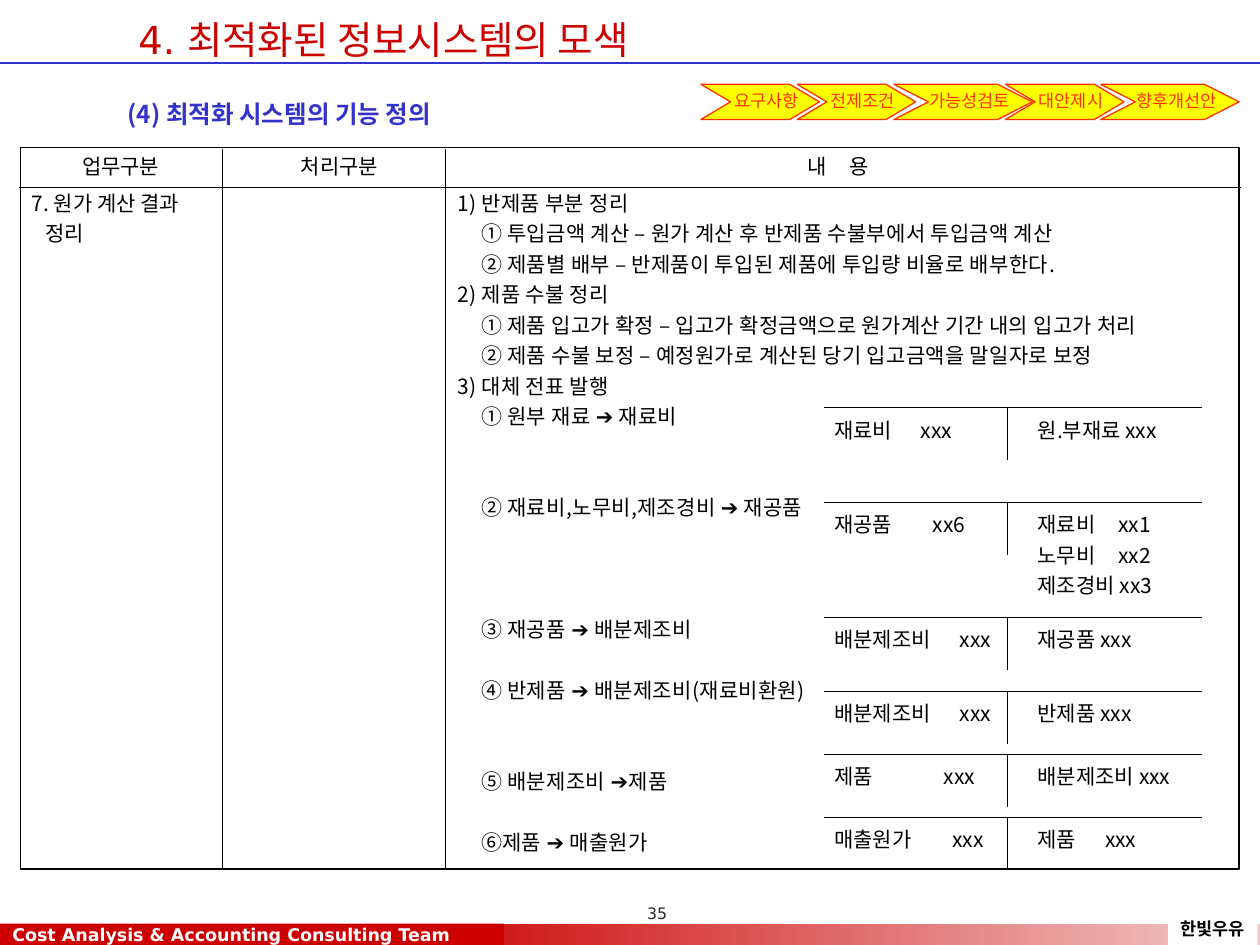
from lxml import etree
from pptx import Presentation
from pptx import util as u
from pptx.dml.color import RGBColor
from pptx.enum import shapes, text
from pptx.oxml.ns import qn

COLORS = {"black": "000000", "white": "FFFFFF", "red": "CC0000", "pink": "F3CBCB",
          "blue": "3333CC", "yellow": "FFFF00", "orange": "FF3300", "gray": "292929"}
KOREAN, LATIN, SYMBOL = "Noto Sans CJK KR", "DejaVu Sans", "Arial"
LINE_HEIGHT, LINE_GAP = 17.4, 3
SPACE_WIDTH = 343  # hundredths of a point
CENTER = text.PP_ALIGN.CENTER


def rgb(name):
    return RGBColor.from_string(COLORS[name])


def write(frame, content, size=12, color="black", font=KOREAN, bold=False,
          align=None, indent=0, skipped_lines=0, gap=1, tracking=0):
    """Add a paragraph; "|" is a space as wide as gap spaces, arrows get the symbol font."""
    first = not frame.text
    paragraph = frame.paragraphs[0] if first else frame.add_paragraph()
    properties = paragraph._p.get_or_add_pPr()
    properties.set("marL", str(u.Cm(indent)))
    properties.set("indent", "0")
    paragraph.alignment = align or text.PP_ALIGN.LEFT
    paragraph.space_before = u.Pt(0 if first else LINE_GAP + skipped_lines * LINE_HEIGHT)
    for part in filter(None, content.partition("|" if "|" in content else "➔")):
        run = paragraph.add_run()
        run.text = " " if part == "|" else part
        run.font.size, run.font.bold = u.Pt(size), bold
        run.font.color.rgb = rgb(color)
        run.font.name = SYMBOL if part == "➔" else font
        run_properties = run._r.get_or_add_rPr()
        spacing = (gap - 1) * SPACE_WIDTH if part == "|" else tracking
        run_properties.set("spc", str(spacing))
        east_asian = SYMBOL if part == "➔" else KOREAN
        etree.SubElement(run_properties, qn("a:ea"), typeface=east_asian)


presentation = Presentation()
presentation.slide_width, presentation.slide_height = u.Cm(25.4), u.Cm(19.05)
slide = presentation.slides.add_slide(presentation.slide_layouts[6])


def add_box(left, top, width, height):
    """Add a text box without margins and return its text frame."""
    frame = slide.shapes.add_textbox(*map(u.Cm, (left, top, width, height))).text_frame
    frame.word_wrap = True
    frame.margin_left = frame.margin_top = frame.margin_right = frame.margin_bottom = 0
    return frame


# Footer bars, company label and table frame
rectangles = {}
for name, bounds, fill in [
    ("fade", (7.82, 18.62, 17.58, 0.43), None),
    ("team", (0, 18.62, 10.16, 0.43), "red"),
    ("company", (23.55, 18.36, 1.8, 0.69), "white"),
    ("table", (0.42, 2.97, 24.56, 14.55), None),
]:
    shape = slide.shapes.add_shape(shapes.MSO_SHAPE.RECTANGLE, *map(u.Cm, bounds))
    shape.shadow.inherit = False
    shape.line.fill.background()
    shape.fill.background()
    if fill:
        shape.fill.solid()
        shape.fill.fore_color.rgb = rgb(fill)
    rectangles[name] = shape

fade = rectangles["fade"].fill
fade.gradient()
fade.gradient_angle = 0
for stop, color in zip(fade.gradient_stops, ("red", "pink")):
    stop.color.rgb = rgb(color)
rectangles["table"].line.color.rgb = rgb("black")
rectangles["table"].line.width = u.Pt(0.75)

team = rectangles["team"].text_frame
team.margin_top = team.margin_bottom = 0
team.vertical_anchor = text.MSO_ANCHOR.MIDDLE
write(team, "Cost Analysis & Accounting Consulting Team", 10, "white", LATIN, True)
company = rectangles["company"].text_frame
company.word_wrap = False
company.margin_top, company.margin_bottom = u.Cm(0.14), 0
company.vertical_anchor = text.MSO_ANCHOR.TOP
write(company, "한빛우유", 10, bold=True, align=CENTER)

# Headings and page number
title = add_box(2.79, 0.15, 19.4, 1.27)
title.vertical_anchor = text.MSO_ANCHOR.MIDDLE
write(title, "4. 최적화된 정보시스템의 모색", 22, "red", LATIN)
write(add_box(2.57, 2, 11, 0.84), "(4) 최적화 시스템의 기능 정의", 14, "blue", bold=True)
write(add_box(11.47, 18.21, 3.56, 0.4), "35", 9, "gray", LATIN, align=CENTER)

# Process arrows
for left, width, label in [(14.13, 2.39, "요구사항"), (16.07, 2.39, "전제조건"),
                           (18.02, 2.79, "가능성검토"), (20.27, 2.39, "대안제시"),
                           (22.19, 2.79, "향후개선안")]:
    top, height, notch = 1.7, 0.71, width / 4
    outline = [(0, 0), (width - notch, 0), (width, height / 2),
               (width - notch, height), (0, height), (notch, height / 2)]
    points = [(u.Cm(left + x), u.Cm(top + y)) for x, y in outline]
    builder = slide.shapes.build_freeform(*points[0])
    builder.add_line_segments(points[1:], close=True)
    chevron = builder.convert_to_shape()
    chevron.shadow.inherit = False
    chevron.fill.solid()
    chevron.fill.fore_color.rgb = rgb("yellow")
    chevron.line.color.rgb = rgb("orange")
    chevron.line.width = u.Pt(0.75)
    frame = chevron.text_frame
    frame.word_wrap = False
    frame.vertical_anchor = text.MSO_ANCHOR.MIDDLE
    frame.margin_left, frame.margin_right = u.Cm(0.5), u.Cm(0.25)
    frame.margin_top, frame.margin_bottom = 0, u.Cm(0.05)
    write(frame, label, 10, "orange", align=CENTER)

# Table text
for left, width, header in [(0.58, 3.71, "업무구분"), (5.08, 3.53, "처리구분"),
                            (10.16, 13.49, "내|용")]:
    write(add_box(left, 3.1, width, 0.61), header, align=CENTER, gap=4)

task = add_box(0.64, 3.84, 3.7, 1.23)
write(task, "7. 원가 계산 결과")
write(task, "정리", indent=0.27)

details = add_box(9.22, 3.84, 15.5, 13.5)
for skipped_lines, line in [
    (0, "1) 반제품 부분 정리"),
    (0, "① 투입금액 계산 – 원가 계산 후 반제품 수불부에서 투입금액 계산"),
    (0, "② 제품별 배부 – 반제품이 투입된 제품에 투입량 비율로 배부한다."),
    (0, "2) 제품 수불 정리"),
    (0, "① 제품 입고가 확정 – 입고가 확정금액으로 원가계산 기간 내의 입고가 처리"),
    (0, "② 제품 수불 보정 – 예정원가로 계산된 당기 입고금액을 말일자로 보정"),
    (0, "3) 대체 전표 발행"),
    (0, "① 원부 재료 ➔ 재료비"),
    (2, "② 재료비,노무비,제조경비 ➔ 재공품"),
    (3, "③ 재공품 ➔ 배분제조비"),
    (1, "④ 반제품 ➔ 배분제조비(재료비환원)"),
    (2, "⑤ 배분제조비 ➔제품"),
    (1, "⑥제품 ➔ 매출원가"),
]:
    write(details, line, indent=0 if line[1] == ")" else 0.48,
          skipped_lines=skipped_lines, tracking=18)

# T accounts: top, debit and its gap, credits and their gap
lines = [("blue", 0, 1.27, 25.4, 1.27), ("black", 0.38, 3.78, 25.02, 3.78),
         ("black", 4.49, 3, 4.49, 17.53), ("black", 8.98, 3, 8.98, 17.53)]
for top, debit, debit_gap, credits, credit_gap in [
    (8.22, "재료비|xxx", 5, ["원.부재료 xxx"], 1),
    (10.13, "재공품|xx6", 7, ["재료비|xx1", "노무비|xx2", "제조경비 xx3"], 4),
    (12.45, "배분제조비|xxx", 5, ["재공품 xxx"], 1),
    (13.94, "배분제조비|xxx", 5, ["반제품 xxx"], 1),
    (15.21, "제품|xxx", 12, ["배분제조비 xxx"], 1),
    (16.48, "매출원가|xxx", 7, ["제품|xxx"], 5),
]:
    lines += [("black", 16.61, top, 24.23, top), ("black", 20.31, top, 20.31, top + 1.05)]
    write(add_box(16.82, top + 0.19, 3.5, 0.61), debit, gap=debit_gap)
    credit_frame = add_box(20.92, top + 0.19, 3.5, 0.61 * len(credits))
    for credit in credits:
        write(credit_frame, credit, gap=credit_gap)

for color, *ends in lines:
    connector = slide.shapes.add_connector(shapes.MSO_CONNECTOR.STRAIGHT, *map(u.Cm, ends))
    connector.line.color.rgb = rgb(color)
    connector.line.width = u.Pt(0.75)
    etree.SubElement(connector._element.spPr, qn("a:effectLst"))

presentation.save("out.pptx")
